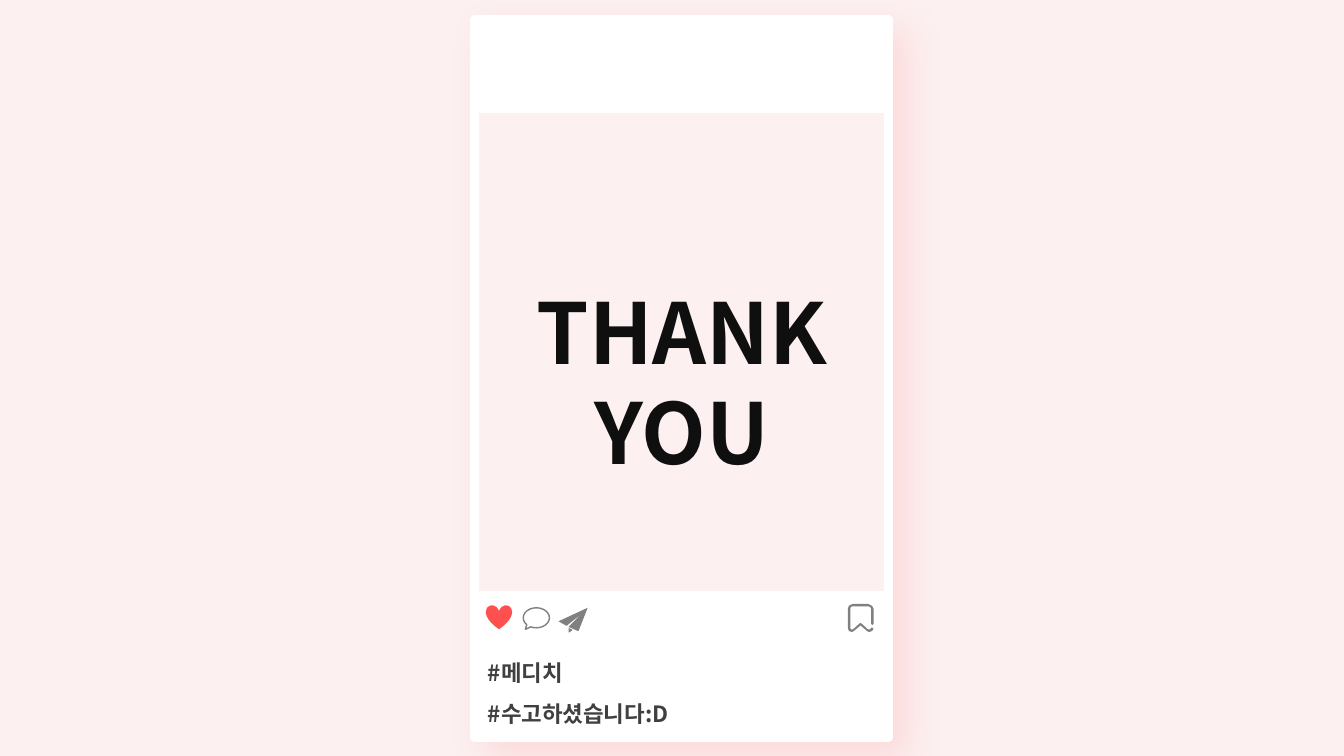
from lxml import etree
from pptx import Presentation
from pptx.dml.color import RGBColor
from pptx.enum.shapes import MSO_SHAPE
from pptx.enum.text import MSO_ANCHOR, MSO_AUTO_SIZE, PP_ALIGN
from pptx.oxml.ns import qn
from pptx.util import Inches, Pt

RECT, HEART = MSO_SHAPE.RECTANGLE, MSO_SHAPE.HEART
BUBBLE = MSO_SHAPE.OVAL_CALLOUT
TOP, GROW = MSO_ANCHOR.TOP, MSO_AUTO_SIZE.SHAPE_TO_FIT_TEXT
LEFT, CENTER = PP_ALIGN.LEFT, PP_ALIGN.CENTER

FONT = "Noto Sans CJK KR"
COLORS = {
    "blush": "FCF0F0", "white": "FFFFFF", "shadow": "FFBBBC",
    "icon": "808080", "heart": "FF5050", "title": "0F0F0F", "tag": "404040",
}

# Icon outlines, in hundredths of an inch
BOOKMARK = [[
    (4, 28), (1, 27), (0, 24), (0, 5), (1, 2), (5, 0), (20, 0), (24, 2),
    (25.5, 5), (25.5, 20), (24.5, 21), (23, 20), (23, 5), (22, 3), (20, 2.5),
    (5, 2.5), (3, 3), (2.5, 5), (2.5, 24), (3, 25.5), (5, 25.5), (11, 20),
    (12.5, 19), (14, 20), (20, 25.5), (22, 25.5), (23, 24), (24, 23.5),
    (25.5, 25), (24, 27), (21, 28), (19, 27), (12.5, 21.5), (6, 27),
]]
PLANE = [
    [(29, 0), (20, 23), (19, 23), (10, 19), (23, 6), (8, 18), (1, 14),
     (0, 13.5), (1, 13)],
    [(10, 20), (14, 22), (11, 24.5), (10, 24.5)],
]


def rgb(name):
    return RGBColor.from_string(COLORS[name])


def part(box, x, y, w, h):
    """Box given in percent of the width and height of another box."""
    left, top, width, height = box
    return (int(left + width * x / 100), int(top + height * y / 100),
            int(width * w / 100), int(height * h / 100))


def paint(sp, fill=None, line=None, weight=1):
    sp.shadow.inherit = False
    if fill:
        sp.fill.solid()
        sp.fill.fore_color.rgb = rgb(fill)
    else:
        sp.fill.background()
    if line:
        sp.line.color.rgb = rgb(line)
        sp.line.width = Pt(weight)
    else:
        sp.line.fill.background()


def add_preset(slide, kind, box, **style):
    sp = slide.shapes.add_shape(kind, *box)
    paint(sp, **style)
    return sp


def add_outline(slide, contours, left, top, fill):
    contours = [[(x * 10, y * 10) for x, y in c] for c in contours]
    first, *others = contours
    builder = slide.shapes.build_freeform(*first[0], scale=Inches(0.001))
    builder.add_line_segments(first[1:])
    for contour in others:
        builder.move_to(*contour[0])
        builder.add_line_segments(contour[1:])
    paint(builder.convert_to_shape(left, top), fill=fill)


def add_soft_shadow(sp, color, opacity, blur, dist, angle):
    effects = sp.element.spPr.find(qn("a:effectLst"))
    shadow = etree.SubElement(
        effects, qn("a:outerShdw"), blurRad=str(Pt(blur)), dist=str(Pt(dist)),
        dir=str(angle * 60000), algn="tl", rotWithShape="0")
    clr = etree.SubElement(shadow, qn("a:srgbClr"), val=COLORS[color])
    etree.SubElement(clr, qn("a:alpha"), val=str(opacity * 1000))


def set_text(slide, sp, box, lines, size, color, align=LEFT, spacing=1, inset=0.1):
    """Fill a placeholder and bring it to the front."""
    slide.shapes.element.append(sp.element)
    sp.left, sp.top, sp.width, sp.height = box
    tf = sp.text_frame
    tf.word_wrap, tf.vertical_anchor, tf.auto_size = True, TOP, GROW
    tf.margin_left = Inches(inset)
    for i, line in enumerate(lines):
        p = tf.add_paragraph() if i else tf.paragraphs[0]
        p.alignment, p.line_spacing, p.space_before = align, spacing, Pt(0)
        pPr = p._p.get_or_add_pPr()
        pPr.set("marL", "0")
        pPr.set("indent", "0")
        etree.SubElement(pPr, qn("a:buNone"))
        r = p.add_run()
        r.text = line
        r.font.size, r.font.bold, r.font.name = Pt(size), True, FONT
        r.font.color.rgb = rgb(color)
        etree.SubElement(r.font._element, qn("a:ea"), typeface=FONT)


def draw_card(slide, box):
    card = add_preset(slide, RECT, box, fill="white", line="white", weight=6.25)
    add_soft_shadow(card, "shadow", opacity=40, blur=24, dist=15, angle=45)
    add_preset(slide, RECT, part(box, 0, 12.48, 100, 67.74),
               fill="blush", line="white", weight=6.25)


def draw_icons(slide, box):
    for contours, x, y in ((BOOKMARK, 90.24, 0), (PLANE, 20.24, 14)):
        left, top, _, _ = part(box, x, y, 0, 0)
        add_outline(slide, contours, left, top, "icon")
    bubble = add_preset(slide, BUBBLE, part(box, 11.71, 14, 6.34, 71), line="icon")
    bubble.adjustments[0], bubble.adjustments[1] = -0.419, 0.579
    add_preset(slide, HEART, part(box, 2.68, 4, 6.34, 86), fill="heart")


def draw_words(slide, box):
    title, body = slide.placeholders
    set_text(slide, title, part(box, 6.59, 35.62, 87.07, 29.73),
             ["THANK YOU"], 60, "title", align=CENTER)
    set_text(slide, body, part(box, -0.49, 86.54, 61.22, 12.06),
             ["#메디치", "#수고하셨습니다:D"], 16, "tag", spacing=1.5, inset=0.15)


def main():
    prs = Presentation()
    prs.slide_width, prs.slide_height = Inches(13.33), Inches(7.5)
    slide = prs.slides.add_slide(prs.slide_layouts[1])
    slide.background.fill.solid()
    slide.background.fill.fore_color.rgb = rgb("blush")
    post = part((0, 0, prs.slide_width, prs.slide_height), 35.33, 2.53, 30.76, 95.07)
    draw_card(slide, post)
    draw_icons(slide, part(post, 0, 81.35, 100, 3.93))
    draw_words(slide, post)
    prs.save("out.pptx")


if __name__ == "__main__":
    main()
